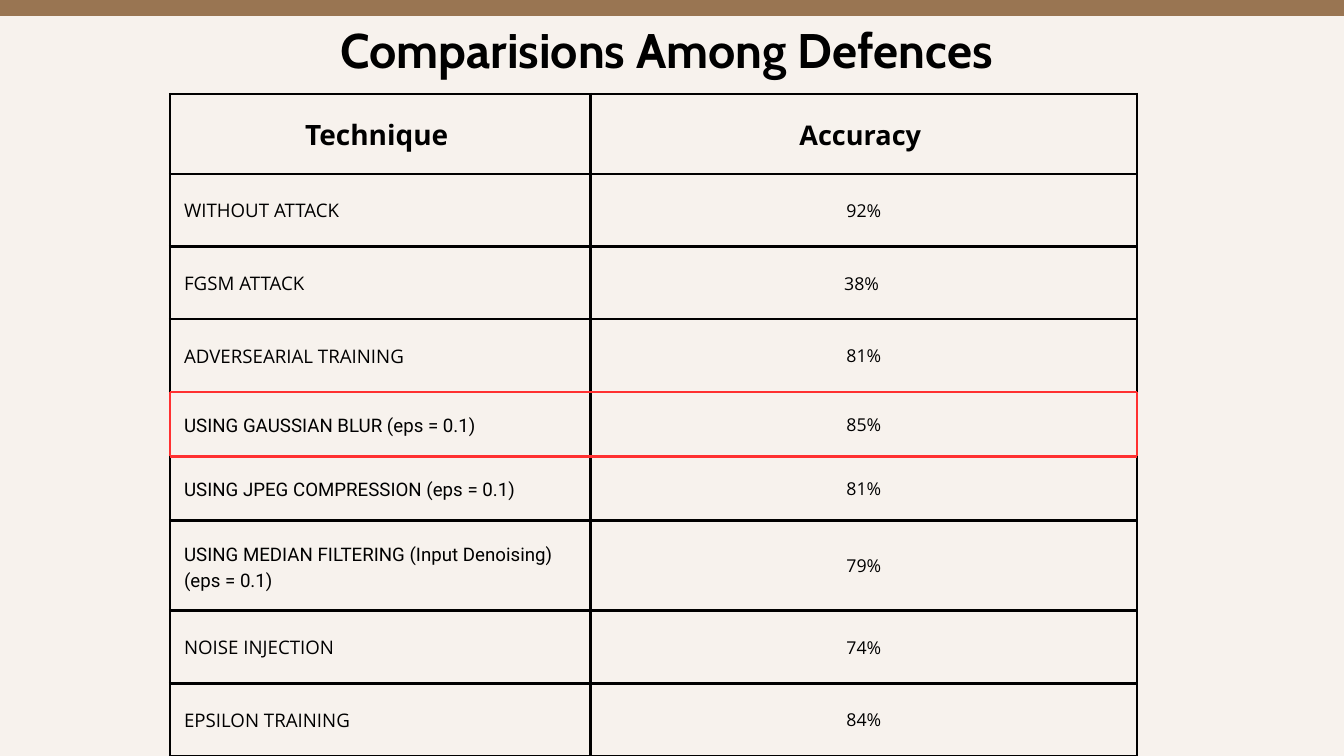
"""Build a slide that compares the accuracy of defence techniques."""
from lxml import etree
from pptx import Presentation
from pptx.dml.color import RGBColor
from pptx.enum.shapes import MSO_CONNECTOR, MSO_SHAPE
from pptx.enum.text import MSO_ANCHOR, PP_ALIGN
from pptx.oxml.ns import qn
from pptx.util import Pt

CENTER, JUSTIFY = PP_ALIGN.CENTER, PP_ALIGN.JUSTIFY
MIDDLE, TOP = MSO_ANCHOR.MIDDLE, MSO_ANCHOR.TOP
STRAIGHT, RECTANGLE = MSO_CONNECTOR.STRAIGHT, MSO_SHAPE.RECTANGLE

SLIDE_WIDTH, SLIDE_HEIGHT = 1440, 810
CREAM, BROWN, BLACK, RED = "F7F2ED", "997552", "000000", "FF3131"
LINE_WIDTH = 3
LINE_SPACING = 1.4

TITLE = "Comparisions Among Defences "
HEADERS = [("Technique ", 30), ("Accuracy ", 29)]
HEADER_HEIGHT = 85.7
RESULTS = [
    ("WITHOUT ATTACK ", "92%", "Open Sans", 77.8),
    ("FGSM ATTACK ", "38% ", "Open Sans", 77.8),
    ("ADVERSEARIAL TRAINING", "81%", "Open Sans", 77.8),
    ("USING GAUSSIAN BLUR (eps = 0.1)", "85%", "Roboto", 69),
    ("USING JPEG COMPRESSION (eps = 0.1)", "81%", "Roboto", 69),
    ("USING MEDIAN FILTERING (Input Denoising)\n(eps = 0.1)", "79%", "Roboto", 96.5),
    ("NOISE INJECTION ", "74%", "Open Sans", 77.8),
    ("EPSILON TRAINING", "84%", "Open Sans", 77.8),
]
HIGHLIGHTED_ROW = 4
TABLE_LEFT, TABLE_TOP = 182.2, 100.8
COLUMN_WIDTHS = [450.7, 585.4]
CELL_MARGIN = 15


def color(hex_value):
    """Turn a hex string into a colour."""
    return RGBColor.from_string(hex_value)


def style_text(text_frame, size, font_name, alignment, bold=False):
    """Format every paragraph of a text frame."""
    for paragraph in text_frame.paragraphs:
        paragraph.alignment = alignment
        paragraph.line_spacing = Pt(round(size * LINE_SPACING, 1))
        paragraph.space_before = Pt(0)
        for run in paragraph.runs:
            run.font.size = Pt(size)
            run.font.name = font_name
            run.font.bold = bold
            run.font.color.rgb = color(BLACK)


def add_borders(cell):
    """Draw a black border on all four sides of a cell."""
    properties = cell._tc.get_or_add_tcPr()
    for position, side in enumerate(("a:lnL", "a:lnR", "a:lnT", "a:lnB")):
        border = etree.Element(qn(side), w=str(Pt(LINE_WIDTH)))
        fill = etree.SubElement(border, qn("a:solidFill"))
        etree.SubElement(fill, qn("a:srgbClr"), val=BLACK)
        properties.insert(position, border)


def fill_cell(cell, text, size, font_name, alignment, bold=False):
    """Write and format one table cell."""
    cell.text_frame.text = text
    style_text(cell.text_frame, size, font_name, alignment, bold)
    cell.vertical_anchor = MIDDLE
    cell.margin_left = cell.margin_right = Pt(CELL_MARGIN)
    cell.margin_top = cell.margin_bottom = Pt(CELL_MARGIN)
    cell.fill.background()
    add_borders(cell)


def add_title(slide):
    """Place the title in its placeholder."""
    title = slide.shapes.title
    title.left, title.top, title.width, title.height = Pt(318), Pt(10.8), Pt(804), Pt(70)
    frame = title.text_frame
    frame.text = TITLE
    frame.margin_left = frame.margin_right = frame.margin_top = frame.margin_bottom = 0
    frame.vertical_anchor = TOP
    style_text(frame, 52, "Cabin", CENTER, bold=True)


def add_results_table(slide, row_heights):
    """Add the table of techniques and accuracies."""
    table = slide.shapes.add_table(
        len(row_heights), len(COLUMN_WIDTHS), Pt(TABLE_LEFT), Pt(TABLE_TOP),
        Pt(sum(COLUMN_WIDTHS)), Pt(sum(row_heights))).table
    table.horz_banding = False
    for column, width in zip(table.columns, COLUMN_WIDTHS):
        column.width = Pt(width)
    for row, height in zip(table.rows, row_heights):
        row.height = Pt(height)
    for column, (text, size) in enumerate(HEADERS):
        fill_cell(table.cell(0, column), text, size, "Open Sans", CENTER, bold=True)
    for row, (technique, accuracy, font_name, _) in enumerate(RESULTS, start=1):
        fill_cell(table.cell(row, 0), technique, 20, font_name, JUSTIFY)
        fill_cell(table.cell(row, 1), accuracy, 19, "Open Sans", CENTER)


def add_highlight(slide, row_heights):
    """Frame the highlighted row with four red lines."""
    left, right = TABLE_LEFT, TABLE_LEFT + sum(COLUMN_WIDTHS)
    top = TABLE_TOP + sum(row_heights[:HIGHLIGHTED_ROW])
    bottom = top + row_heights[HIGHLIGHTED_ROW]
    corners = [(left, top), (right, top), (right, bottom), (left, bottom)]
    for start, end in zip(corners, corners[1:] + corners[:1]):
        line = slide.shapes.add_connector(STRAIGHT, *map(Pt, start + end))
        line.line.color.rgb = color(RED)
        line.line.width = Pt(LINE_WIDTH)
        etree.SubElement(line._element.spPr, qn("a:effectLst"))


def add_top_band(slide):
    """Add the brown band along the top edge."""
    band = slide.shapes.add_shape(RECTANGLE, 0, 0, Pt(SLIDE_WIDTH), Pt(17))
    band.shadow.inherit = False
    band.fill.solid()
    band.fill.fore_color.rgb = color(BROWN)
    band.line.fill.background()


def main():
    """Build and save the presentation."""
    presentation = Presentation()
    presentation.slide_width = Pt(SLIDE_WIDTH)
    presentation.slide_height = Pt(SLIDE_HEIGHT)
    slide = presentation.slides.add_slide(presentation.slide_layouts[5])
    slide.background.fill.solid()
    slide.background.fill.fore_color.rgb = color(CREAM)
    row_heights = [HEADER_HEIGHT] + [height for *_, height in RESULTS]
    add_title(slide)
    add_results_table(slide, row_heights)
    add_highlight(slide, row_heights)
    add_top_band(slide)
    presentation.save("out.pptx")


if __name__ == "__main__":
    main()
